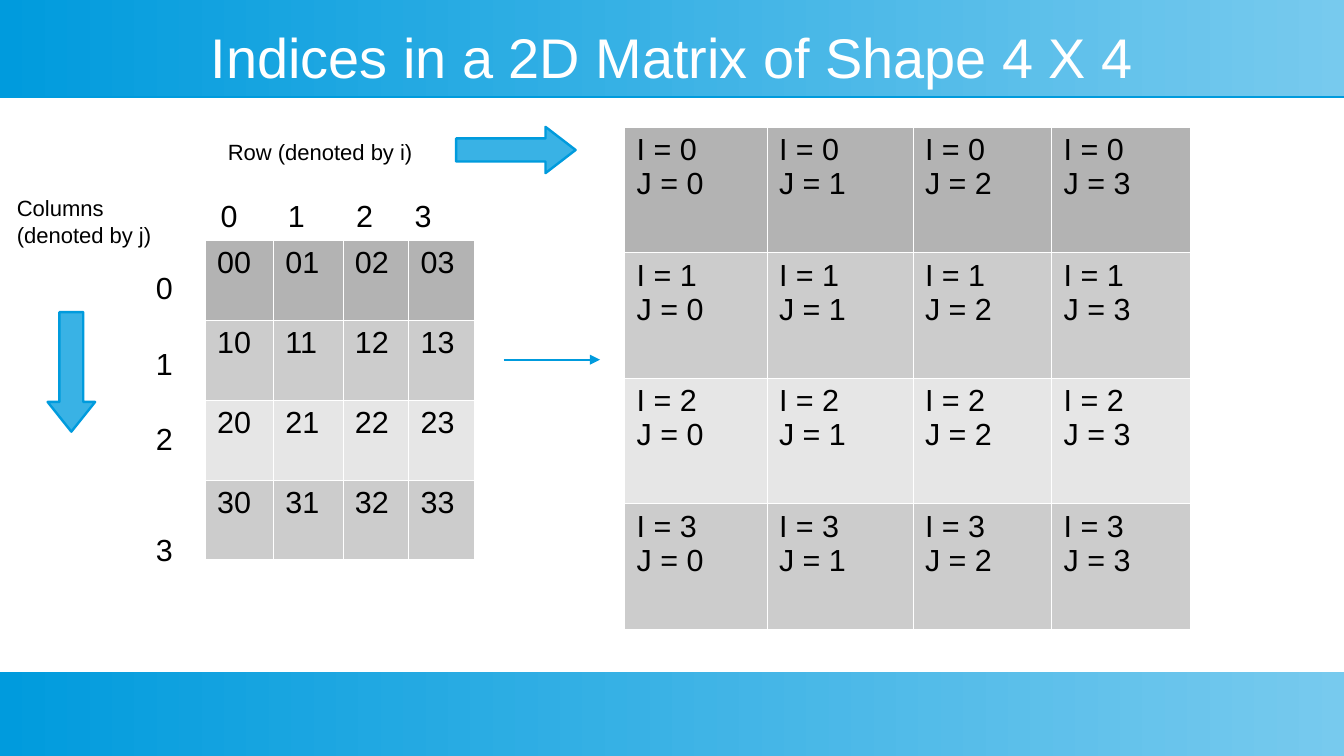
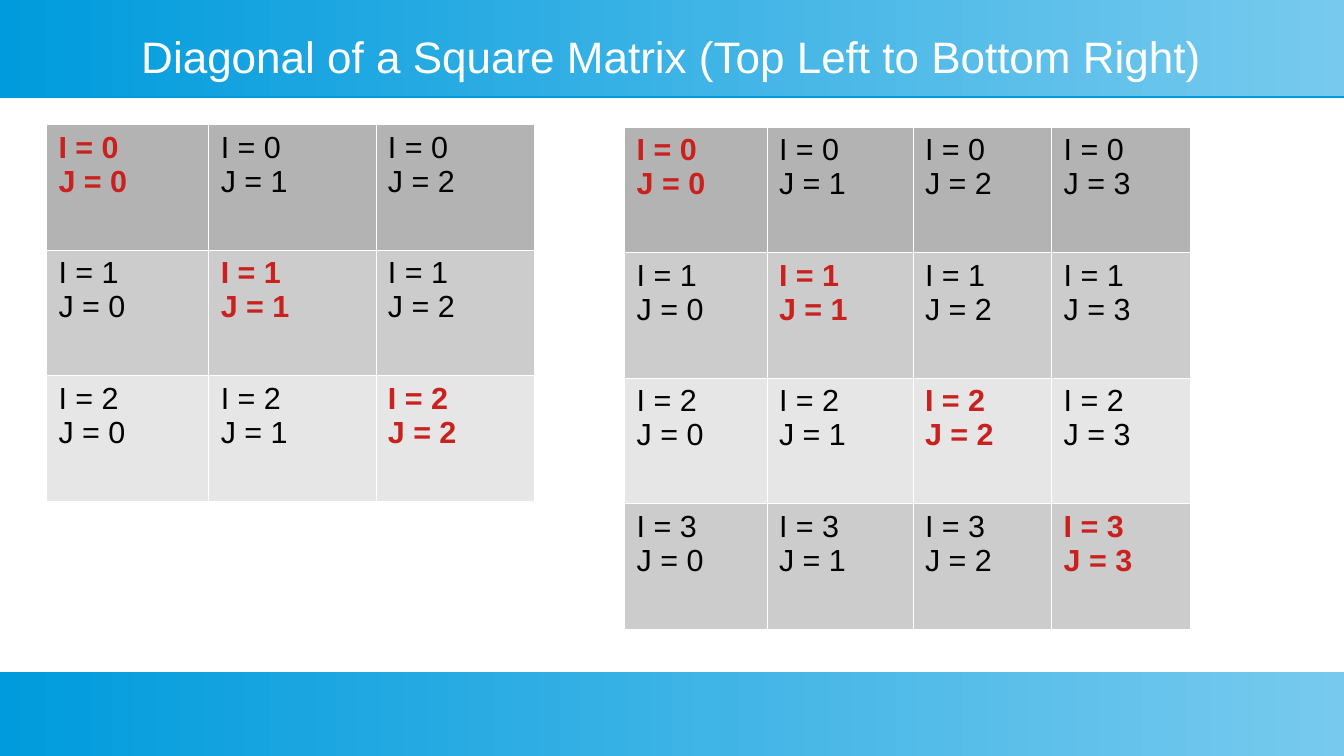
from collections import namedtuple

from lxml.etree import SubElement
from pptx import Presentation
from pptx.dml.color import RGBColor
from pptx.enum.shapes import MSO_CONNECTOR, MSO_SHAPE
from pptx.enum.text import MSO_ANCHOR, MSO_AUTO_SIZE, PP_ALIGN
from pptx.oxml.ns import qn
from pptx.util import Inches, Pt

FONT = "Arial"
BLUE, PALE_BLUE, ARROW_BLUE = "009BDD", "77CAEE", "39B2E5"
WHITE, BLACK, RED = "FFFFFF", "000000", "C9211E"
ROW_FILLS = ["B3B3B3", "CCCCCC", "E6E6E6", "CCCCCC"]
LINE_WIDTH = Pt(1.42)


class Box(namedtuple("Box", "x y w h")):
    """A rectangle in inches; inner boxes are given in percent of it."""

    def inner(self, x, y, w, h):
        return Box(self.x + self.w * x / 100, self.y + self.h * y / 100,
                   self.w * w / 100, self.h * h / 100)

    def emu(self):
        return [Inches(v) for v in self]


SLIDE = Box(0, 0, 11.02, 6.2)
HEADER = SLIDE.inner(0, 0, 100, 12.74)
FOOTER = SLIDE.inner(0, 88.87, 100, 11.13)
TITLE = SLIDE.inner(3.54, 3.23, 92.92, 8.39)
INDEX_DIAGRAM = SLIDE.inner(0, 16.13, 45.37, 64.52)
SMALL_MATRIX = SLIDE.inner(3.45, 16.45, 36.3, 49.84)
LARGE_MATRIX = SLIDE.inner(46.46, 16.77, 42.11, 66.45)

SMALL_COLS = [1.33, 1.37, 1.3]
LARGE_COLS = [1.17, 1.2, 1.14, 1.14]
INDEX_COLS = [0.56, 0.57, 0.54, 0.54]


def rgb(value):
    return RGBColor.from_string(value)


def solid(parent, color):
    fill = SubElement(parent, qn("a:solidFill"))
    SubElement(fill, qn("a:srgbClr"), val=color)


def style_text(tf, size, color=BLACK, bold=False):
    for p in tf.paragraphs:
        for r in p.runs:
            r.font.name, r.font.size, r.font.bold = FONT, Pt(size), bold
            r.font.color.rgb = rgb(color)


# Shared master: gradient bands and title box
def add_band(slide, master, box):
    s = slide.shapes.add_shape(MSO_SHAPE.RECTANGLE, *box.emu())
    s.line.fill.background()
    s.fill.gradient()
    s.fill.gradient_angle = 0
    for stop, color in zip(s.fill.gradient_stops, (BLUE, PALE_BLUE)):
        stop.color.rgb = rgb(color)
    s.shadow.inherit = False
    effects = s._element.spPr.find(qn("a:effectLst"))
    shadow = SubElement(effects, qn("a:outerShdw"), blurRad="0",
                        dist=str(Pt(0.9)), dir="5400000", rotWithShape="0")
    SubElement(shadow, qn("a:srgbClr"), val=BLUE)
    master.shapes._spTree.insert(2, s._element)


def set_title_box(layout):
    title = layout.placeholders[0]
    title.left, title.top, title.width, title.height = TITLE.emu()
    tf = title.text_frame
    tf.margin_left = tf.margin_right = tf.margin_top = tf.margin_bottom = 0
    tf.vertical_anchor = MSO_ANCHOR.MIDDLE
    tf.auto_size = MSO_AUTO_SIZE.NONE


def add_titled_slide(prs, layout, text, size):
    slide = prs.slides.add_slide(layout)
    tf = slide.shapes.title.text_frame
    tf.text = text
    tf.paragraphs[0].alignment = PP_ALIGN.CENTER
    style_text(tf, size, WHITE)
    return slide


# Matrix tables
def add_borders(cell):
    tcPr = cell._tc.get_or_add_tcPr()
    for side in ("lnL", "lnR", "lnT", "lnB"):
        solid(SubElement(tcPr, qn("a:" + side), w=str(Pt(0.06))), WHITE)


def add_matrix(slide, box, col_widths, row_count, pattern, diagonal=False):
    frame = slide.shapes.add_table(row_count, len(col_widths), *box.emu())
    table = frame.table
    table.first_row = table.horz_banding = False
    for col, width in zip(table.columns, col_widths):
        col.width = Inches(box.w * width / sum(col_widths))
    for i, row in enumerate(table.rows):
        row.height = Inches(box.h / row_count)
        for j, cell in enumerate(row.cells):
            add_borders(cell)
            cell.fill.solid()
            cell.fill.fore_color.rgb = rgb(ROW_FILLS[i])
            cell.text_frame.text = pattern.format(i=i, j=j)
            marked = diagonal and i == j
            style_text(cell.text_frame, 18, RED if marked else BLACK, marked)


def add_index_matrix(slide, box, size, col_widths, diagonal=False):
    add_matrix(slide, box, col_widths, size, "I = {i}\nJ = {j}", diagonal)


# Labels and arrows
def add_label(slide, box, text, size):
    tf = slide.shapes.add_textbox(*box.emu()).text_frame
    tf.word_wrap = True
    tf.text = text
    style_text(tf, size)
    return tf


def add_block_arrow(slide, box, preset, head):
    s = slide.shapes.add_shape(preset, *box.emu())
    s.adjustments[0], s.adjustments[1] = 0.5, head
    s.shadow.inherit = False
    s.fill.solid()
    s.fill.fore_color.rgb = rgb(ARROW_BLUE)
    s.line.color.rgb = rgb(BLUE)
    s.line.width = LINE_WIDTH


def add_line_arrow(slide, box):
    x, y, w, h = box.emu()
    line = slide.shapes.add_connector(MSO_CONNECTOR.STRAIGHT, x, y, x + w, y + h)
    line.line.color.rgb = rgb(BLUE)
    line.line.width = LINE_WIDTH
    SubElement(line.line._get_or_add_ln(), qn("a:tailEnd"), type="triangle")
    SubElement(line._element.spPr, qn("a:effectLst"))


def add_column_numbers(slide, box):
    tf = add_label(slide, box, "0\t1\t2\t3", 18)
    tf.margin_left = Inches(0.24)
    pPr = tf.paragraphs[0]._p.get_or_add_pPr()
    tabs = SubElement(pPr, qn("a:tabLst"))
    for stop in (0.55, 1.11, 1.59):
        SubElement(tabs, qn("a:tab"), pos=str(Inches(stop)), algn="l")


def add_row_numbers(slide, box):
    tf = add_label(slide, box, "0\n1\n2\n3", 18)
    for p, gap in zip(tf.paragraphs[1:], (23, 23, 44)):
        p.space_before = Pt(gap)


def add_index_diagram(slide, box):
    add_matrix(slide, box.inner(33.6, 24.25, 44.2, 65.5), INDEX_COLS, 4, "{i}{j}")
    add_label(slide, box.inner(35.4, 2.25, 46.4, 8.25), "Row (denoted by i)", 13)
    add_label(slide, box.inner(0.8, 13.75, 26.6, 23.5),
              "Columns\n(denoted by j)", 13)
    add_block_arrow(slide, box.inner(7.8, 39, 7.8, 24.5),
                    MSO_SHAPE.DOWN_ARROW, 0.625)
    add_block_arrow(slide, box.inner(74.8, 1, 19.6, 9.5),
                    MSO_SHAPE.RIGHT_ARROW, 0.65)
    add_column_numbers(slide, box.inner(31.4, 14.25, 55.2, 9.5))
    add_row_numbers(slide, box.inner(23.6, 29, 7.8, 58.5))
    add_line_arrow(slide, box.inner(82.6, 48.75, 15.8, 0))


def main():
    prs = Presentation()
    prs.slide_width, prs.slide_height = Inches(SLIDE.w), Inches(SLIDE.h)
    layout = prs.slide_layouts.get_by_name("Title Only")
    set_title_box(layout)

    # Indices of a matrix
    slide = add_titled_slide(prs, layout,
                             "Indices in a 2D Matrix of Shape 4 X 4", 33)
    for band in (HEADER, FOOTER):
        add_band(slide, layout.slide_master, band)
    add_index_diagram(slide, INDEX_DIAGRAM)
    add_index_matrix(slide, LARGE_MATRIX, 4, LARGE_COLS)

    # Main diagonal
    slide = add_titled_slide(
        prs, layout, "Diagonal of a Square Matrix (Top Left to Bottom Right)", 26)
    add_index_matrix(slide, SMALL_MATRIX, 3, SMALL_COLS, diagonal=True)
    add_index_matrix(slide, LARGE_MATRIX, 4, LARGE_COLS, diagonal=True)

    prs.save("out.pptx")


if __name__ == "__main__":
    main()
